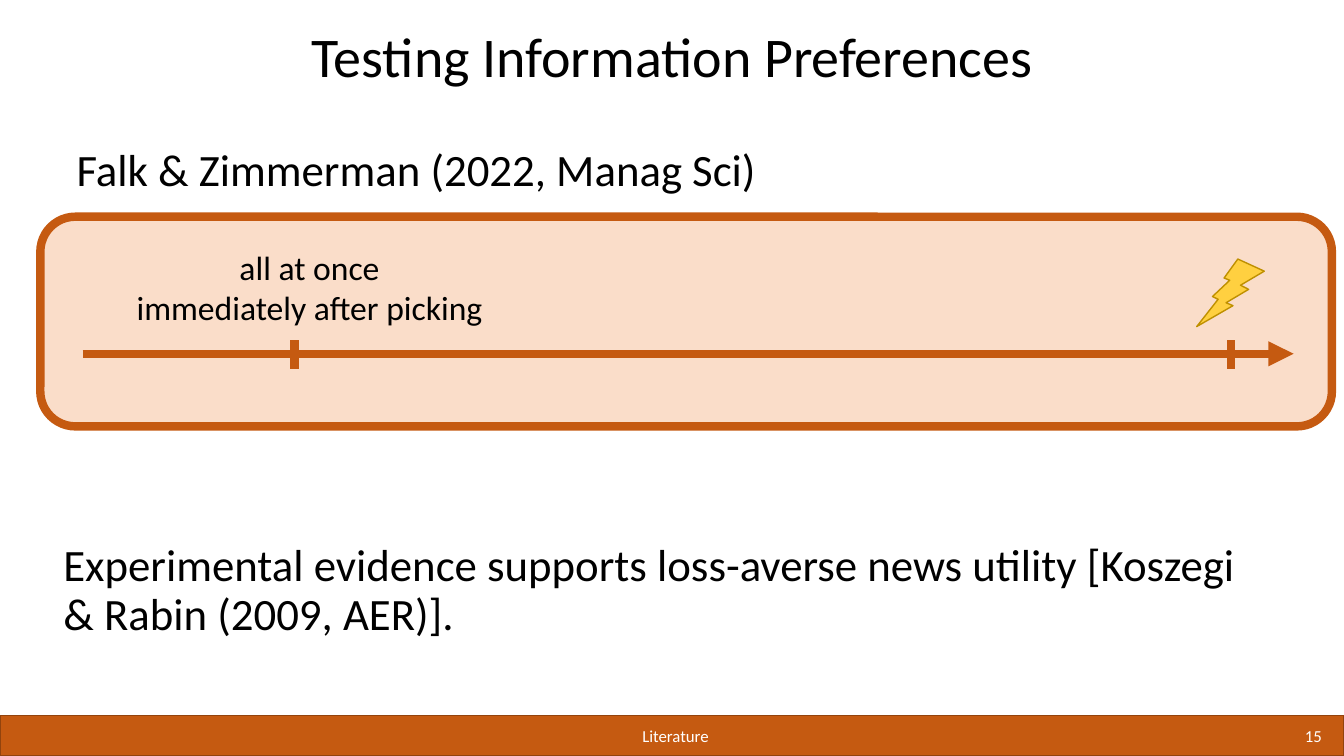
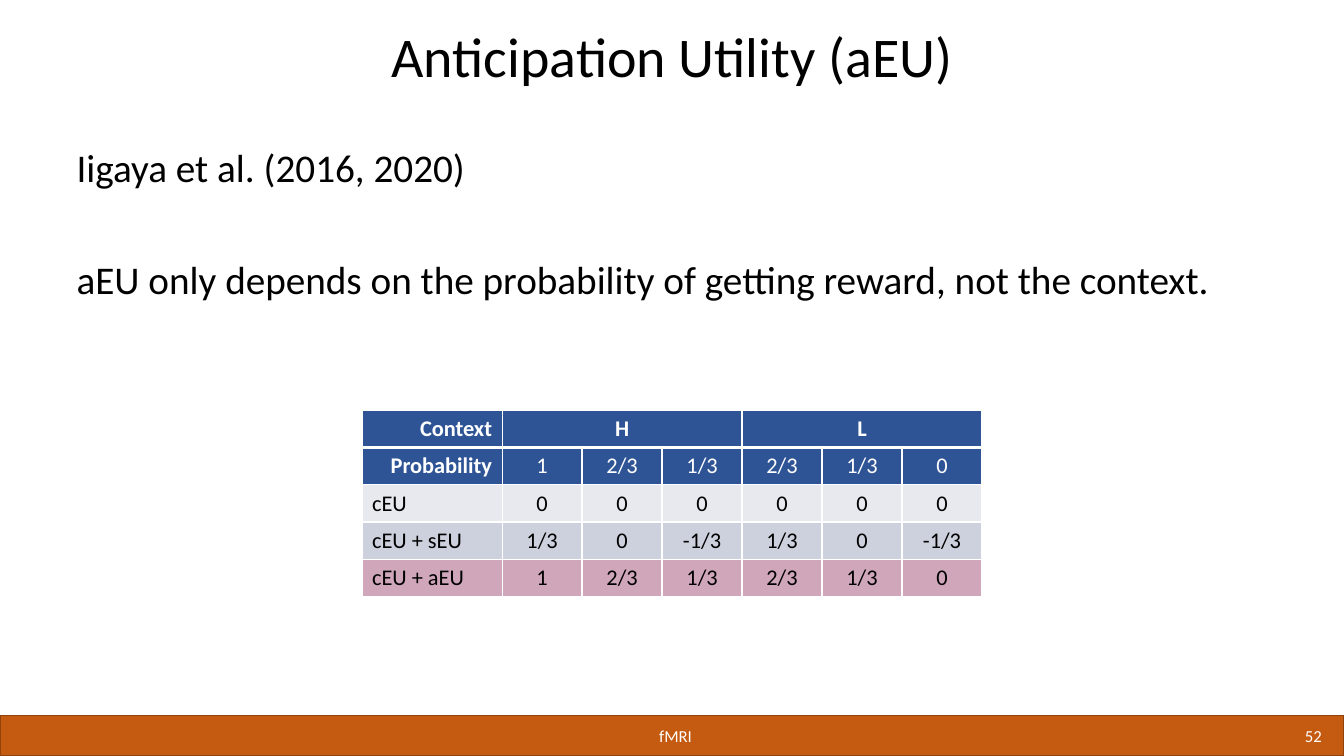
"""Build two lecture slides on information preferences and anticipation utility."""
from lxml.etree import SubElement
from pptx import Presentation
from pptx.dml.color import RGBColor
from pptx.enum.shapes import MSO_CONNECTOR, MSO_SHAPE as Shape
from pptx.enum.text import MSO_ANCHOR as Anchor, MSO_AUTO_SIZE as AutoSize, PP_ALIGN as Align
from pptx.oxml.ns import qn
from pptx.util import Inches, Pt

FONT = "Calibri"
BLACK = RGBColor(0x00, 0x00, 0x00)
WHITE = RGBColor(0xFF, 0xFF, 0xFF)
ORANGE = RGBColor(0xC5, 0x5A, 0x11)
BROWN = RGBColor(0x92, 0x43, 0x0D)
PEACH = RGBColor(0xFA, 0xDD, 0xC9)
YELLOW = RGBColor(0xFF, 0xD0, 0x40)
GOLD = RGBColor(0xBF, 0x90, 0x00)
NAVY = RGBColor(0x2F, 0x54, 0x96)
PALE = RGBColor(0xE8, 0xE9, 0xEF)
GREY = RGBColor(0xCD, 0xD1, 0xDD)
PINK = RGBColor(0xD0, 0xA6, 0xBB)

WIDTH, HEIGHT = 13.33, 7.5
BAND_TOP, BAND_HEIGHT = 7.1, 0.4

PREFERENCES = {
    "title": "Testing Information Preferences",
    "body": ["Falk & Zimmerman (2022, Manag Sci)"],
    "size": 32,
    "section": "Literature",
    "number": "15",
}
TIMING = ["all at once", "immediately after picking"]
FINDING = ["Experimental evidence supports loss-averse news utility "
           "[Koszegi & Rabin (2009, AER)]."]
AXIS_TOP = 3.51
TICKS = [2.92, 12.21]

ANTICIPATION = {
    "title": "Anticipation Utility (aEU)",
    "body": [
        "Iigaya et al. (2016, 2020)",
        "aEU only depends on the probability of getting reward, not the context.",
    ],
    "size": 28,
    "section": "fMRI",
    "number": "52",
}
UTILITIES = [
    (NAVY, ["Context", "H", "", "", "L", "", ""]),
    (NAVY, ["Probability", "1", "2/3", "1/3", "2/3", "1/3", "0"]),
    (PALE, ["cEU", "0", "0", "0", "0", "0", "0"]),
    (GREY, ["cEU + sEU", "1/3", "0", "-1/3", "1/3", "0", "-1/3"]),
    (PINK, ["cEU + aEU", "1", "2/3", "1/3", "2/3", "1/3", "0"]),
]
CONTEXT_STARTS = [1, 4]
LABEL_WIDTH, TABLE_WIDTH, ROW_HEIGHT = 1.39, 6.15, 0.37
THICK_EDGES = {(0, "B"), (1, "T")}


def inches(*lengths):
    return [Inches(length) for length in lengths]


def place(shape, *bounds):
    shape.left, shape.top, shape.width, shape.height = inches(*bounds)


def write(frame, lines, size, color=BLACK, align=Align.LEFT, anchor=Anchor.TOP,
          spacing=1.0, gap=0, bold=False):
    frame.word_wrap = True
    frame.vertical_anchor = anchor
    for index, line in enumerate(lines):
        para = frame.add_paragraph() if index else frame.paragraphs[0]
        para.text = line
        para.alignment = align
        para.line_spacing = spacing
        para.space_before = Pt(gap if index else 0)
        para.font.name = FONT
        para.font.size = Pt(size)
        para.font.bold = bold
        para.font.color.rgb = color


def add_text(page, bounds, lines, size, **style):
    box = page.shapes.add_textbox(*inches(*bounds))
    write(box.text_frame, lines, size, **style)


def add_block(page, kind, bounds, fill, line, weight):
    block = page.shapes.add_shape(kind, *inches(*bounds))
    block.shadow.inherit = False
    block.fill.solid()
    block.fill.fore_color.rgb = fill
    block.line.color.rgb = line
    block.line.width = Pt(weight)
    return block


def add_line(page, *ends):
    line = page.shapes.add_connector(MSO_CONNECTOR.STRAIGHT, *inches(*ends))
    line.line.color.rgb = ORANGE
    line.line.width = Pt(6)
    SubElement(line.element.spPr, qn("a:effectLst"))
    return line


def add_page(deck, content):
    page = deck.slides.add_slide(deck.slide_layouts[1])
    title, body = page.placeholders
    place(title, 0.66, 0.23, 12.01, 0.71)
    place(body, 0.66, 1.42, 12.01, 5.6)
    for holder in (title, body):
        holder.text_frame.auto_size = AutoSize.NONE
    write(title.text_frame, [content["title"]], 40, align=Align.CENTER,
          anchor=Anchor.BOTTOM, spacing=0.9)
    write(body.text_frame, content["body"], content["size"], spacing=0.9, gap=50)
    for para in body.text_frame.paragraphs:
        properties = para._p.get_or_add_pPr()
        properties.set("marL", "0")
        properties.set("indent", "0")
        bullet = SubElement(properties, qn("a:buNone"))
        properties.find(qn("a:spcBef")).addnext(bullet)
    footers = [(2.24, 8.92, "section", Align.CENTER), (11.15, 2.06, "number", Align.RIGHT)]
    for left, width, key, align in footers:
        add_text(page, (left, BAND_TOP, width, BAND_HEIGHT), [content[key]], 12,
                 color=WHITE, align=align, anchor=Anchor.MIDDLE)
    return page


def add_master_band(deck, page):
    band = add_block(page, Shape.RECTANGLE, (0, BAND_TOP, WIDTH, BAND_HEIGHT),
                     ORANGE, BROWN, 1)
    deck.slide_master.shapes.element.append(band.element)


def add_timeline(page):
    add_block(page, Shape.ROUNDED_RECTANGLE, (0.4, 2.15, 12.81, 2.08), PEACH, ORANGE, 6)
    axis = add_line(page, 0.82, AXIS_TOP, 12.83, AXIS_TOP)
    SubElement(axis.line._get_or_add_ln(), qn("a:tailEnd"), type="triangle")
    for tick in TICKS:
        add_line(page, tick, AXIS_TOP + 0.15, tick, AXIS_TOP - 0.14)
    add_text(page, (0.99, 2.4, 4.16, 0.91), TIMING, 24, align=Align.CENTER)
    bolt = add_block(page, Shape.LIGHTNING_BOLT, (11.87, 2.57, 0.67, 0.67), YELLOW, GOLD, 1)
    bolt.element.spPr.find(qn("a:xfrm")).set("flipH", "1")


def set_borders(cell, row):
    properties = cell._tc.get_or_add_tcPr()
    for side in "LRTB":
        weight = 3 if (row, side) in THICK_EDGES else 1
        edge = SubElement(properties, qn(f"a:ln{side}"), w=str(Pt(weight)))
        fill = SubElement(edge, qn("a:solidFill"))
        SubElement(fill, qn("a:srgbClr"), val=str(WHITE))


def add_utilities(page):
    rows, columns = len(UTILITIES), len(UTILITIES[0][1])
    bounds = inches(3.59, 4.07, TABLE_WIDTH, rows * ROW_HEIGHT)
    table = page.shapes.add_table(rows, columns, *bounds).table
    table.first_row = table.horz_banding = False
    for index, column in enumerate(table.columns):
        value_width = (TABLE_WIDTH - LABEL_WIDTH) / (columns - 1)
        column.width = Inches(value_width if index else LABEL_WIDTH)
    for row, (fill, texts) in enumerate(UTILITIES):
        header = fill == NAVY
        label_align = Align.RIGHT if header else Align.LEFT
        for column, text in enumerate(texts):
            cell = table.cell(row, column)
            set_borders(cell, row)
            cell.fill.solid()
            cell.fill.fore_color.rgb = fill
            write(cell.text_frame, [text], 16, color=WHITE if header else BLACK,
                  align=Align.CENTER if column else label_align,
                  bold=row == 0 or (header and column == 0))
    for start in CONTEXT_STARTS:
        table.cell(0, start).merge(table.cell(0, start + 2))


def main():
    deck = Presentation()
    deck.slide_width, deck.slide_height = inches(WIDTH, HEIGHT)
    preferences = add_page(deck, PREFERENCES)
    add_master_band(deck, preferences)
    add_timeline(preferences)
    add_text(preferences, (0.53, 5.34, 12.01, 1.6), FINDING, 32, spacing=0.9)
    add_utilities(add_page(deck, ANTICIPATION))
    deck.save("out.pptx")


if __name__ == "__main__":
    main()
